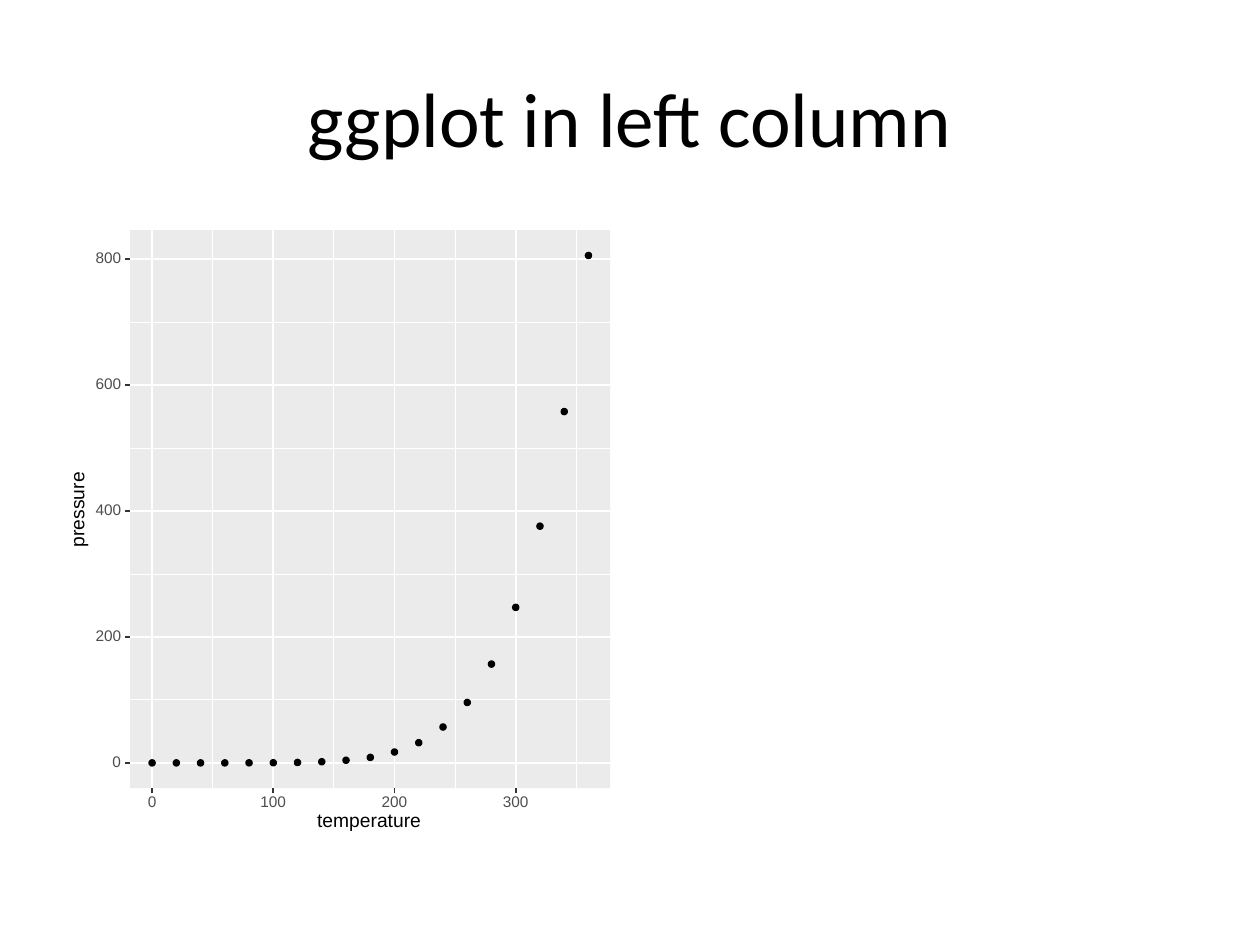
from lxml.etree import SubElement
from pptx import Presentation
from pptx.dml.color import RGBColor
from pptx.enum.shapes import MSO_CONNECTOR, MSO_SHAPE
from pptx.enum.text import MSO_ANCHOR, PP_ALIGN
from pptx.oxml.ns import qn
from pptx.util import Inches, Pt

WHITE = RGBColor(0xFF, 0xFF, 0xFF)
BLACK = RGBColor(0, 0, 0)
PANEL_GREY = RGBColor(0xEB, 0xEB, 0xEB)
TICK_GREY = RGBColor(0x33, 0x33, 0x33)
LABEL_GREY = RGBColor(0x4D, 0x4D, 0x4D)

prs = Presentation()
prs.slide_width, prs.slide_height = Inches(10), Inches(7.5)
slide = prs.slides.add_slide(prs.slide_layouts[6])

# The slide is a grid of 10 columns and 7.5 rows
COLUMN = prs.slide_width / 10
ROW = prs.slide_height / 7.5


def add_line(shapes, x1, y1, x2, y2, color, weight):
    """Draw a straight line between two grid points."""
    line = shapes.add_connector(MSO_CONNECTOR.STRAIGHT, int(x1 * COLUMN), int(y1 * ROW),
                                int(x2 * COLUMN), int(y2 * ROW))
    line.line.color.rgb = color
    line.line.width = Pt(weight)
    SubElement(line._element.spPr, qn("a:effectLst"))


def add_label(shapes, text, left, top, width, height, size, color, font="Arial", slack=0.02):
    """Centre one line of text in a grid box with some slack at both sides."""
    label = shapes.add_textbox(int((left - slack) * COLUMN), int(top * ROW),
                               int((width + 2 * slack) * COLUMN), int(height * ROW))
    frame = label.text_frame
    frame.word_wrap = False
    frame.vertical_anchor = MSO_ANCHOR.MIDDLE
    frame.margin_left = frame.margin_right = frame.margin_top = frame.margin_bottom = 0
    paragraph = frame.paragraphs[0]
    paragraph.alignment = PP_ALIGN.CENTER
    paragraph.line_spacing = Pt(size)
    run = paragraph.add_run()
    run.text = text
    run.font.size, run.font.name = Pt(size), font
    run.font.color.rgb = color
    return label


title = add_label(slide.shapes, "ggplot in left column", 0.5, 0.3, 9, 1.25, 44, BLACK,
                  "Calibri", 0)
title.text_frame.word_wrap = True
title.text_frame.paragraphs[0].line_spacing = 1.0

# Vapour pressure, measured every 20 degrees up to 360
pressures = [0, 0, 0.01, 0.03, 0.09, 0.27, 0.75, 1.85, 4.2, 8.8,
             17.3, 32.1, 57, 96, 157, 247, 376, 558, 806]
PLOT_LEFT, PLOT_TOP, PLOT_WIDTH, PLOT_HEIGHT = 0.5, 1.75, 4.42, 4.95
MARGIN = 5.5 / 72
PANEL_WIDTH, PANEL_HEIGHT = 3.81, 4.43
PANEL_TOP = PLOT_TOP + MARGIN
PANEL_BOTTOM = PANEL_TOP + PANEL_HEIGHT
PANEL_RIGHT = PLOT_LEFT + PLOT_WIDTH - MARGIN
PANEL_LEFT = PANEL_RIGHT - PANEL_WIDTH

# Each axis is extended by 5 % of the data range at both ends
ZERO_X = PANEL_LEFT + PANEL_WIDTH * 0.05 / 1.1
ZERO_Y = PANEL_BOTTOM - PANEL_HEIGHT * 0.05 / 1.1
PER_DEGREE = PANEL_WIDTH / 1.1 / 360
PER_PRESSURE = PANEL_HEIGHT / 1.1 / max(pressures)
TICK, DOT = 0.04, 0.05

plot = slide.shapes.add_group_shape().shapes

backgrounds = [(PLOT_LEFT, PLOT_TOP, PLOT_WIDTH, PLOT_HEIGHT, WHITE, 0.75),
               (PLOT_LEFT, PLOT_TOP, PLOT_WIDTH, PLOT_HEIGHT, WHITE, 1.07),
               (PANEL_LEFT, PANEL_TOP, PANEL_WIDTH, PANEL_HEIGHT, PANEL_GREY, None)]
for left, top, width, height, color, border in backgrounds:
    area = plot.add_shape(MSO_SHAPE.RECTANGLE, int(left * COLUMN), int(top * ROW),
                          int(width * COLUMN), int(height * ROW))
    area.shadow.inherit = False
    area.fill.solid()
    area.fill.fore_color.rgb = color
    if border:
        area.line.color.rgb = color
        area.line.width = Pt(border)
    else:
        area.line.fill.background()

# Minor grid lines lie halfway between the major ones
for weight, grid_pressures, grid_degrees in [
        (0.53, range(100, 701, 200), range(50, 351, 100)),
        (1.07, range(0, 801, 200), range(0, 301, 100))]:
    for pressure in grid_pressures:
        y = ZERO_Y - pressure * PER_PRESSURE
        add_line(plot, PANEL_LEFT, y, PANEL_RIGHT, y, WHITE, weight)
    for degrees in grid_degrees:
        x = ZERO_X + degrees * PER_DEGREE
        add_line(plot, x, PANEL_BOTTOM, x, PANEL_TOP, WHITE, weight)

for index, pressure in enumerate(pressures):
    x = ZERO_X + index * 20 * PER_DEGREE
    y = ZERO_Y - pressure * PER_PRESSURE
    dot = plot.add_shape(MSO_SHAPE.OVAL, int((x - DOT / 2) * COLUMN), int((y - DOT / 2) * ROW),
                         int(DOT * COLUMN), int(DOT * ROW))
    dot.shadow.inherit = False
    dot.fill.solid()
    dot.fill.fore_color.rgb = BLACK
    dot.line.color.rgb = BLACK
    dot.line.width = Pt(0.71)

LABEL_HEIGHT = 0.09
for pressure in range(0, 801, 200):
    y = ZERO_Y - pressure * PER_PRESSURE
    width = 0.2 if pressure else 0.07
    add_label(plot, str(pressure), 0.96 - width, y - LABEL_HEIGHT / 2, width, LABEL_HEIGHT,
              8.8, LABEL_GREY)
    add_line(plot, PANEL_LEFT - TICK, y, PANEL_LEFT, y, TICK_GREY, 1.07)

for degrees in range(0, 301, 100):
    x = ZERO_X + degrees * PER_DEGREE
    width = 0.2 if degrees else 0.07
    add_line(plot, x, PANEL_BOTTOM + TICK, x, PANEL_BOTTOM, TICK_GREY, 1.07)
    add_label(plot, str(degrees), x - width / 2, 6.33, width, LABEL_HEIGHT, 8.8, LABEL_GREY)

add_label(plot, "temperature", 2.52, 6.46, 0.82, 0.13, 11, BLACK)
add_label(plot, "pressure", 0.33, 3.99, 0.59, 0.11, 11, BLACK).rotation = 270

prs.save("out.pptx")
